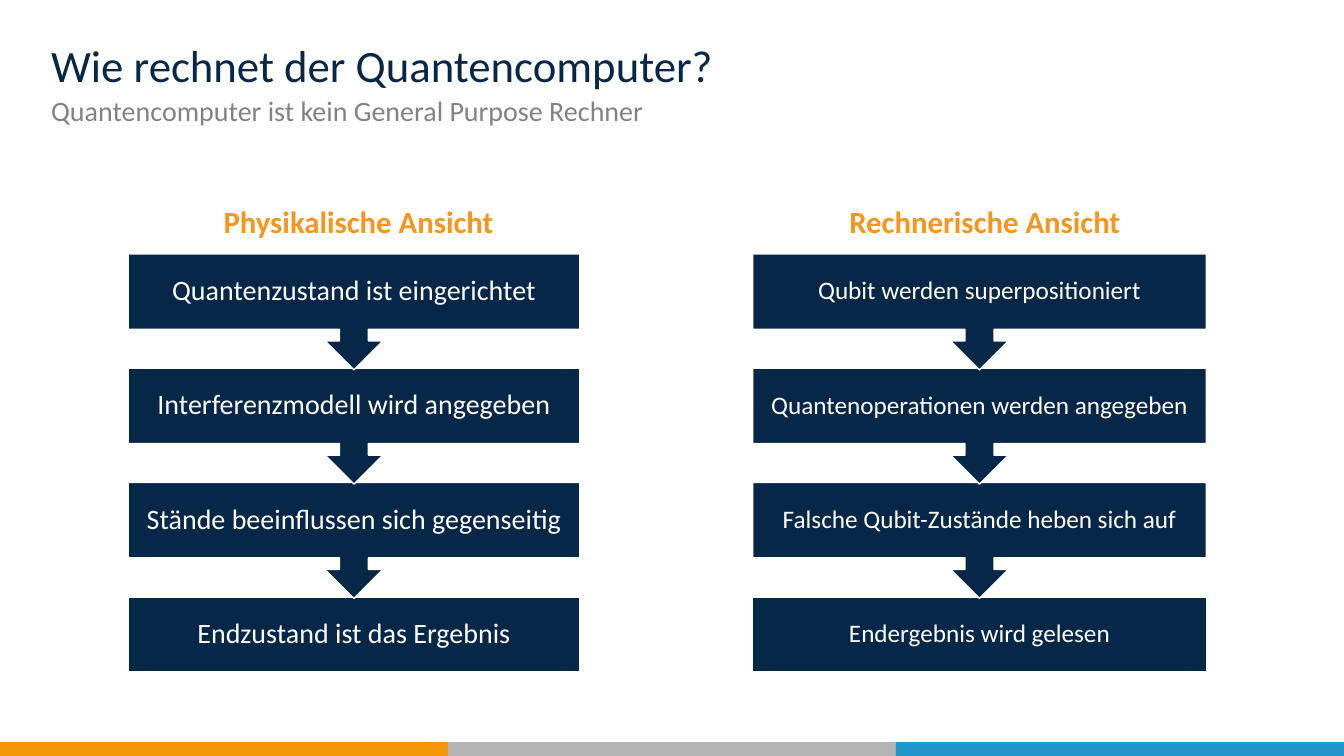
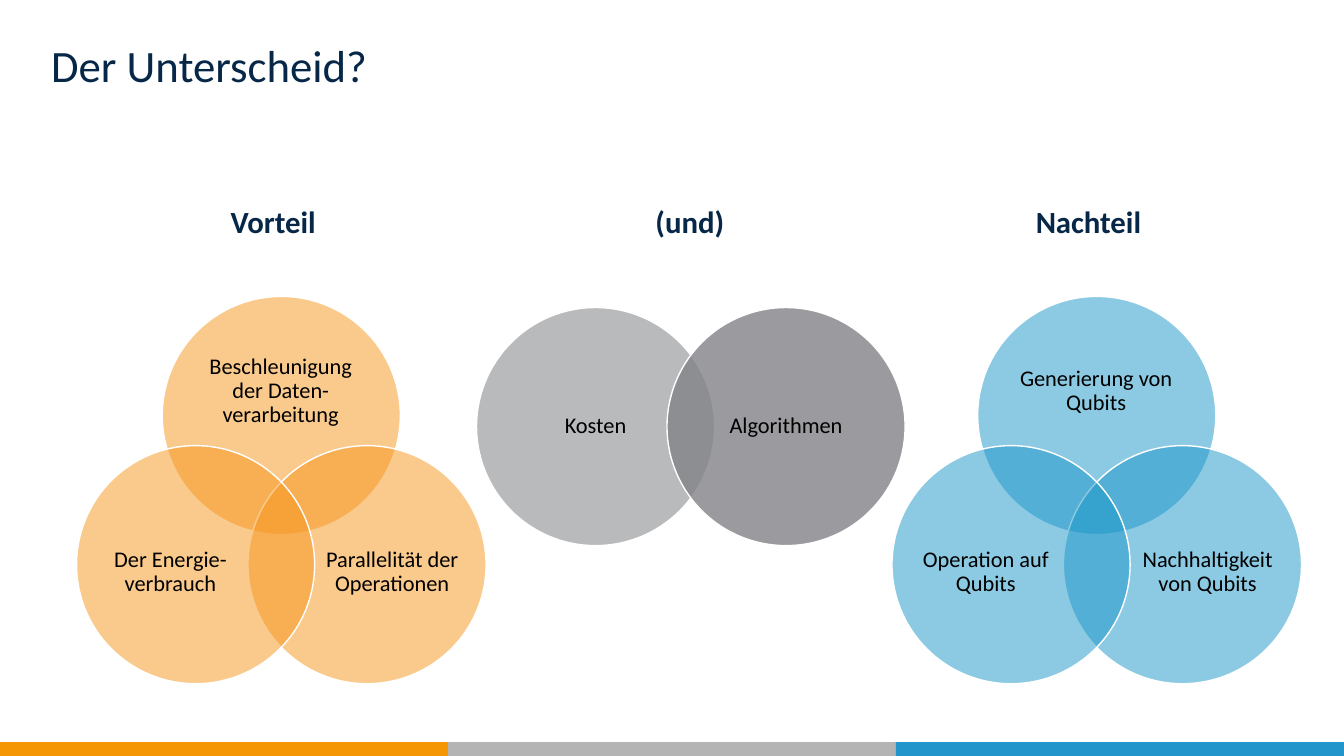
from lxml.etree import SubElement
from pptx import Presentation
from pptx.dml.color import RGBColor
from pptx.enum.shapes import MSO_SHAPE
from pptx.enum.text import MSO_ANCHOR, PP_ALIGN
from pptx.oxml.ns import qn
from pptx.util import Cm, Pt

COLORS = {
    "navy": "062747",
    "orange": "F7961D",
    "blue": "1B96C8",
    "light gray": "75767A",
    "dark gray": "828387",
    "subtitle": "818286",
    "black": "000000",
    "white": "FFFFFF",
    "band orange": "F59605",
    "band gray": "B4B4B4",
    "band blue": "2295CB",
}
FONT = "Calibri"
WIDTH, HEIGHT = 33.87, 19.05
DIAMETER = 6


def rgb(name):
    return RGBColor.from_string(COLORS[name])


class SlideBuilder:
    """Holds the shared style and the current slide; lengths are in centimetres."""

    def __init__(self):
        self.deck = Presentation()
        self.deck.slide_width = Cm(WIDTH)
        self.deck.slide_height = Cm(HEIGHT)
        self.page = None

    def new_page(self, title, subtitle=None):
        self.page = self.deck.slides.add_slide(self.deck.slide_layouts[6])
        band_width = WIDTH / 3
        for index, color in enumerate(("band orange", "band gray", "band blue")):
            self.shape(MSO_SHAPE.RECTANGLE, index * band_width, 18.7,
                       band_width, 0.35, color, outline=False)
        self.text_box(title, 1.04, 0.99, 31.42, 1.19, 32, "navy")
        if subtitle:
            self.text_box(subtitle, 1.04, 2.34, 31.42, 1.19, 20, "subtitle")

    def shape(self, kind, left, top, width, height, color, opacity=100, outline=True):
        shape = self.page.shapes.add_shape(kind, Cm(left), Cm(top), Cm(width), Cm(height))
        shape.shadow.inherit = False
        shape.fill.solid()
        shape.fill.fore_color.rgb = rgb(color)
        if opacity < 100:
            fill_color = shape.element.spPr.find(qn("a:solidFill"))[0]
            SubElement(fill_color, qn("a:alpha"), val=str(opacity * 1000))
        if outline:
            shape.line.color.rgb = rgb("white")
            shape.line.width = Pt(1)
        else:
            shape.line.fill.background()
        return shape

    def add_text(self, shape, text, size, color, bold=False, align=PP_ALIGN.CENTER,
                 anchor=MSO_ANCHOR.MIDDLE):
        frame = shape.text_frame
        frame.word_wrap = True
        frame.vertical_anchor = anchor
        para = frame.paragraphs[0]
        para.alignment = align
        para.line_spacing = 0.9
        span = para.add_run()
        span.text = text
        span.font.name = FONT
        span.font.size = Pt(size)
        span.font.bold = bold
        span.font.color.rgb = rgb(color)

    def text_box(self, text, left, top, width, height, size, color, bold=False,
                 align=PP_ALIGN.LEFT, anchor=MSO_ANCHOR.TOP):
        box = self.page.shapes.add_textbox(Cm(left), Cm(top), Cm(width), Cm(height))
        self.add_text(box, text, size, color, bold, align, anchor)
        return box

    def heading(self, text, left, width, color):
        self.text_box(text, left, 5.1, width, 0.97, 22, color, True, PP_ALIGN.CENTER)

    def flow(self, steps, left, width, size):
        """Stack of callouts pointing down to a closing rectangle."""
        top, pitch = 6.4, 2.88
        last = len(steps) - 1
        # Drawn from the bottom up so each arrow tip lies over the next box
        for index in range(last, -1, -1):
            if index == last:
                kind, height = MSO_SHAPE.RECTANGLE, 1.9
            else:
                kind, height = MSO_SHAPE.DOWN_ARROW_CALLOUT, 2.92
            box = self.shape(kind, left, top + index * pitch, width, height, "navy")
            self.add_text(box, steps[index], size, "white")

    def circle(self, text, left, top, color, opacity, label):
        """Circle with a label placed by its offset and size inside the circle."""
        self.shape(MSO_SHAPE.OVAL, left, top, DIAMETER, DIAMETER, color, opacity)
        label_left, label_top, width, height = label
        box = self.text_box(text, left + label_left, top + label_top, width, height,
                            16, "black", align=PP_ALIGN.CENTER, anchor=MSO_ANCHOR.MIDDLE)
        frame = box.text_frame
        frame.margin_left = frame.margin_right = 0
        frame.margin_top = frame.margin_bottom = 0

    def three_circles(self, texts, left, color):
        """Three overlapping circles: top, lower right, lower left."""
        places = (
            (0, 0, (0.79, 1.04, 4.39, 2.69)),
            (2.16, 3.76, (1.83, 1.55, 3.61, 3.3)),
            (-2.16, 3.76, (0.56, 1.55, 3.61, 3.3)),
        )
        for text, (shift, drop, label) in zip(texts, places):
            self.circle(text, left + shift, 7.47 + drop, color, 50, label)


def main():
    builder = SlideBuilder()

    # Two views of the calculation
    builder.new_page("Wie rechnet der Quantencomputer?",
                     "Quantencomputer ist kein General Purpose Rechner")
    builder.heading("Physikalische Ansicht", 1.4, 15.27, "orange")
    builder.flow(("Quantenzustand ist eingerichtet",
                  "Interferenzmodell wird angegeben",
                  "Stände beeinflussen sich gegenseitig",
                  "Endzustand ist das Ergebnis"), 3.23, 11.38, 20)
    builder.heading("Rechnerische Ansicht", 17.15, 15.34, "orange")
    builder.flow(("Qubit werden superpositioniert",
                  "Quantenoperationen werden angegeben",
                  "Falsche Qubit-Zustände heben sich auf",
                  "Endergebnis wird gelesen"), 18.97, 11.43, 18)

    # Advantages and disadvantages
    builder.new_page("Der Unterscheid?")
    builder.heading("Vorteil", 1.4, 10.97, "navy")
    builder.three_circles(("Beschleunigung der Daten-verarbeitung",
                           "Parallelität der Operationen",
                           "Der Energie-verbrauch"), 4.09, "orange")
    builder.heading("(und)", 12.37, 10.03, "navy")
    centered = (0.88, 0.88, 4.24, 4.24)
    builder.circle("Kosten", 12.01, 7.75, "light gray", 50, centered)
    builder.circle("Algorithmen", 16.81, 7.75, "dark gray", 80, centered)
    builder.heading("Nachteil", 22.4, 10.06, "navy")
    builder.three_circles(("Generierung von Qubits",
                           "Nachhaltigkeit von Qubits",
                           "Operation auf Qubits"), 24.64, "blue")

    builder.deck.save("out.pptx")


if __name__ == "__main__":
    main()
